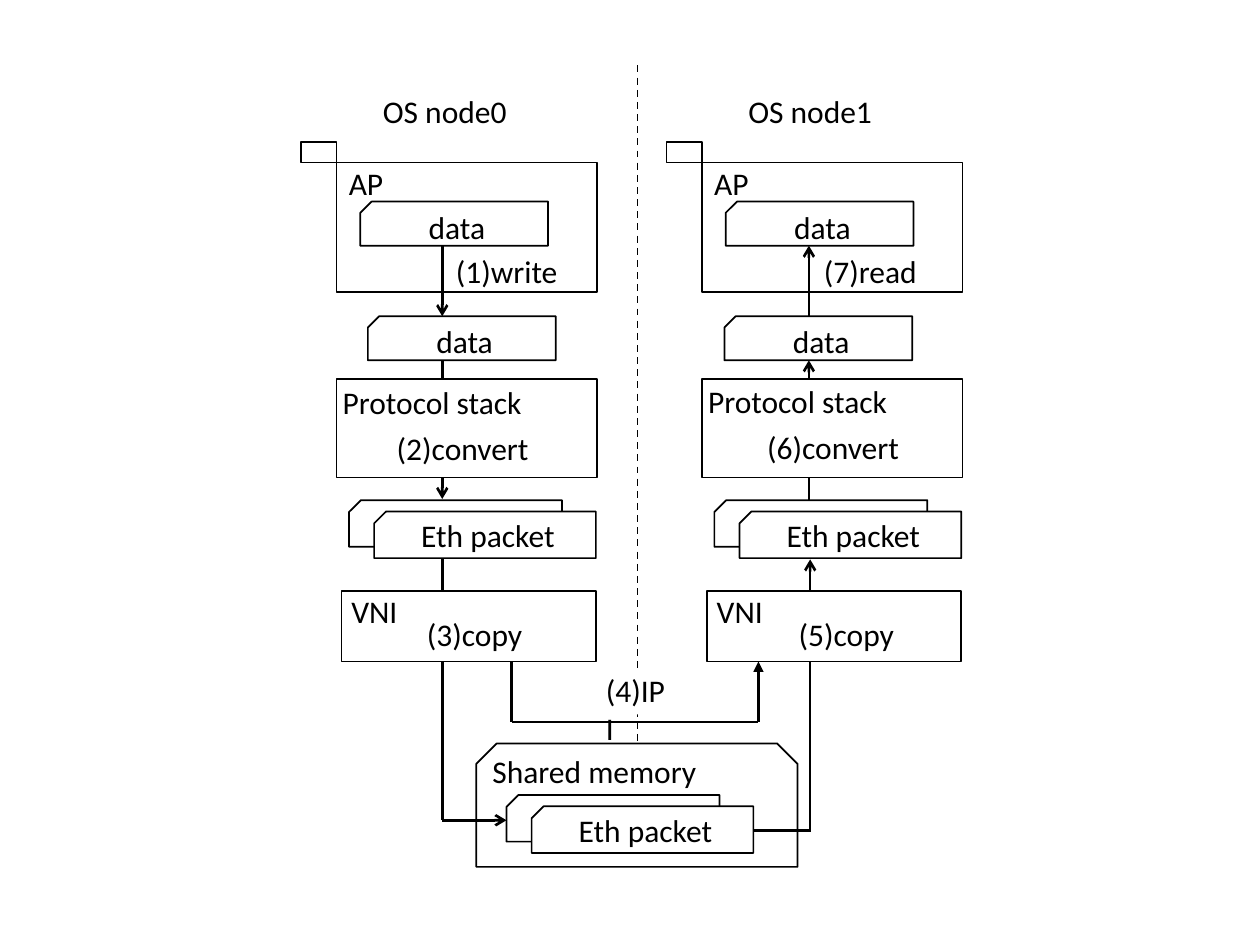
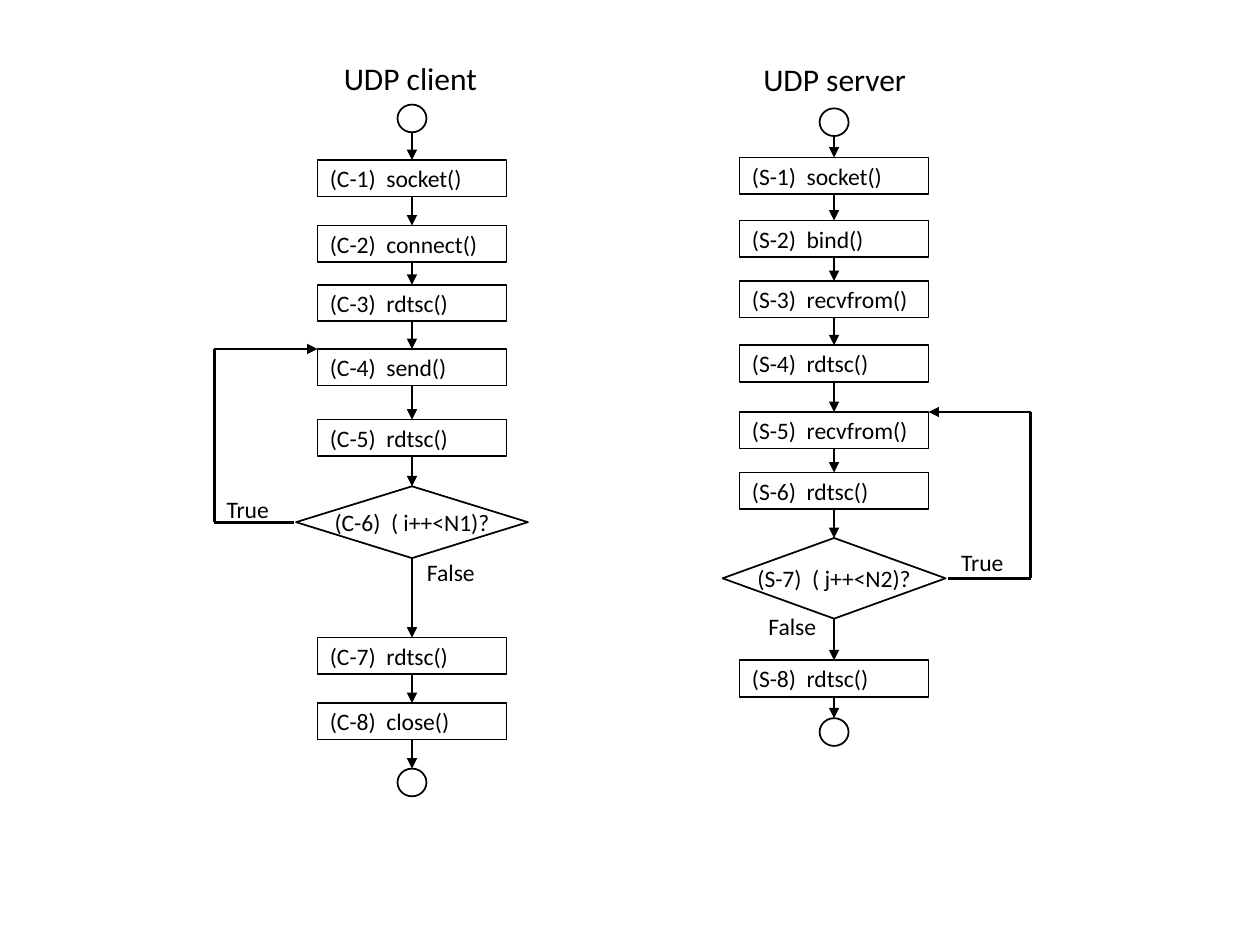
from lxml import etree
from pptx import Presentation
from pptx.dml.color import RGBColor
from pptx.enum.dml import MSO_LINE
from pptx.enum.shapes import MSO_CONNECTOR, MSO_SHAPE
from pptx.enum.text import MSO_ANCHOR, PP_ALIGN
from pptx.oxml.ns import qn
from pptx.util import Inches, Pt

BLACK = RGBColor(0, 0, 0)
WHITE = RGBColor(255, 255, 255)
FONT = "Calibri"
LABEL_SIZE, STEP_SIZE = 18, 13.5
THIN, THICK = 1, 1.5

RECT = MSO_SHAPE.RECTANGLE
CIRCLE = MSO_SHAPE.OVAL
CARD = MSO_SHAPE.SNIP_1_RECTANGLE
MEMORY = MSO_SHAPE.SNIP_2_SAME_RECTANGLE
STRAIGHT = MSO_CONNECTOR.STRAIGHT
DASH = MSO_LINE.DASH
MIDDLE = MSO_ANCHOR.MIDDLE
LEFT, CENTER = PP_ALIGN.LEFT, PP_ALIGN.CENTER

NODE_PITCH = 2.9
STEP_WIDTH, STEP_HEIGHT = 1.5, 0.29
DOT_WIDTH, DOT_HEIGHT = 0.23, 0.22


def write(frame, words, size, align=LEFT):
    """Put one run of black text into a frame."""
    frame.word_wrap = True
    paragraph = frame.paragraphs[0]
    paragraph.alignment = align
    run = paragraph.add_run()
    run.text = words
    run.font.name = FONT
    run.font.size = Pt(size)
    run.font.color.rgb = BLACK
    return paragraph


def label(slide, words, left, top, width, height, size=LABEL_SIZE, inset=0.1):
    """Add a free-standing text."""
    frame = slide.shapes.add_textbox(
        Inches(left), Inches(top), Inches(width), Inches(height)).text_frame
    frame.margin_left = Inches(inset)
    write(frame, words, size)


def outline(shape, filled=True, lined=True):
    """Give a shape the white fill and thin black line."""
    shape.shadow.inherit = False
    if filled:
        shape.fill.solid()
        shape.fill.fore_color.rgb = WHITE
    else:
        shape.fill.background()
    if lined:
        shape.line.color.rgb = BLACK
        shape.line.width = Pt(THIN)
    else:
        shape.line.fill.background()


def box(slide, kind, left, top, width, height, filled=True, lined=True):
    """Add a preset shape."""
    shape = slide.shapes.add_shape(
        kind, Inches(left), Inches(top), Inches(width), Inches(height))
    outline(shape, filled, lined)
    return shape


def card(slide, left, top, width, height, words=""):
    """Add a card with its top left corner cut."""
    shape = box(slide, CARD, left, top, width, height)
    shape.adjustments[0] = 0.255
    shape._element.spPr.xfrm.set("flipH", "1")
    if words:
        shape.text_frame.vertical_anchor = MIDDLE
        return write(shape.text_frame, words, LABEL_SIZE, CENTER)


def packets(slide, left, top):
    """Add two overlapping packet cards."""
    card(slide, left, top, 1.69, 0.37)
    paragraph = card(slide, left + 0.2, top + 0.09, 1.76, 0.37, "Eth packet")
    paragraph.line_spacing = Pt(18)


def line(slide, start, end, head=None, width=THICK, dash=None):
    """Draw a straight line with an optional arrowhead at its end."""
    x1, y1, x2, y2 = (Inches(value) for value in (*start, *end))
    connector = slide.shapes.add_connector(STRAIGHT, x1, y1, x2, y2)
    connector.line.color.rgb = BLACK
    connector.line.width = Pt(width)
    if dash:
        connector.line.dash_style = dash
    if head:
        etree.SubElement(connector.line._get_or_add_ln(), qn("a:tailEnd"), type=head)
    etree.SubElement(connector._element.spPr, qn("a:effectLst"))


def node(slide, number, data_left, calls):
    """Draw one OS node; calls holds each operation label with its place."""
    shift = number * NODE_PITCH
    label(slide, f"OS node{number}", 2.94 + shift, 0.68, 1.61, 0.46)
    box(slide, RECT, 2.39 + shift, 1.13, 0.28, 0.16)
    box(slide, RECT, 2.67 + shift, 1.29, 2.07, 1.03)
    label(slide, "AP", 2.67 + shift, 1.25, 0.64, 0.43)
    card(slide, 2.86 + shift, 1.6, 1.49, 0.35, "data")
    card(slide, data_left, 2.51, 1.49, 0.35, "data")
    box(slide, RECT, 2.67 + shift, 3.01, 2.07, 0.78)
    label(slide, "Protocol stack", 2.72 + shift, 2.99 - 0.01 * number, 2.06, 0.43, inset=0)
    packets(slide, 2.77 + shift, 3.97)
    box(slide, RECT, 2.71 + shift, 4.69, 2.02, 0.56)
    label(slide, "VNI", 2.69 + shift, 4.65, 0.77, 0.43)
    for words, left, top, width in calls:
        label(slide, words, left, top, width, 0.46)


def memory_slide(slide):
    """Draw the data path between two nodes through shared memory."""
    line(slide, (6.42, 3.97), (6.42, 2.86), "arrow")
    line(slide, (6.43, 6.59), (6.43, 4.44), "arrow")
    line(slide, (3.51, 2.84), (3.51, 3.96), "arrow")
    line(slide, (3.51, 4.44), (3.51, 6.51))
    line(slide, (5.06, 0.52), (5.06, 6.11), width=THIN, dash=DASH)

    box(slide, MEMORY, 3.78, 5.9, 2.55, 0.98)
    label(slide, "Shared memory", 3.81, 5.92, 2.56, 0.38)
    line(slide, (3.51, 6.51), (4.02, 6.51), "arrow")
    line(slide, (5.96, 6.59), (6.44, 6.59))
    packets(slide, 4.02, 6.31)

    node(slide, 0, 2.92, [("(1)write", 3.52, 1.95, 1.43),
                          ("(2)convert", 3.05, 3.36, 1.75),
                          ("(3)copy", 3.29, 4.83, 1.3)])
    node(slide, 1, 5.75, [("(7)read", 6.44, 1.95, 1.28),
                          ("(6)convert", 5.99, 3.35, 1.7),
                          ("(5)copy", 6.24, 4.83, 1.3)])
    line(slide, (3.51, 1.95), (3.51, 2.51), "arrow")
    line(slide, (6.42, 2.51), (6.42, 1.95), "arrow")

    box(slide, RECT, 4.92, 5.34, 0.3, 0.33, lined=False)
    label(slide, "(4)IPI", 4.71, 5.28, 0.71, 0.37)
    line(slide, (4.06, 5.25), (4.06, 5.73))
    line(slide, (4.06, 5.73), (6.02, 5.73))
    line(slide, (6.02, 5.73), (6.02, 5.25), "triangle")


def decision(slide, axis, top, width, height, words):
    """Add a diamond with a condition."""
    middle, half = top + height / 2, width / 2
    corners = [(Inches(x), Inches(y)) for x, y in (
        (axis - half, middle), (axis, top + height), (axis + half, middle), (axis, top))]
    builder = slide.shapes.build_freeform(*corners[0])
    builder.add_line_segments(corners[1:], close=True)
    shape = builder.convert_to_shape()
    outline(shape)
    shape.text_frame.vertical_anchor = MIDDLE
    write(shape.text_frame, words, STEP_SIZE, CENTER)


def flow(slide, axis, prefix, dots, steps, condition, loop):
    """Draw a flowchart column with one loop back to an earlier step."""
    spans = [(top, DOT_HEIGHT) for top in dots]
    for top in dots:
        box(slide, CIRCLE, axis - DOT_WIDTH / 2, top, DOT_WIDTH, DOT_HEIGHT, filled=False)
    for number, top, call in steps:
        step = box(slide, RECT, axis - STEP_WIDTH / 2, top, STEP_WIDTH, STEP_HEIGHT)
        step.text_frame.vertical_anchor = MIDDLE
        write(step.text_frame, f"({prefix}-{number})  {call}", STEP_SIZE)
        spans.append((top, STEP_HEIGHT))

    top, width, height, words = condition
    decision(slide, axis, top, width, height, words)
    spans.append((top, height))
    spans.sort()
    for (upper, depth), (lower, _) in zip(spans, spans[1:]):
        line(slide, (axis, upper + depth), (axis, lower), "triangle")

    side, rail, target = loop
    branch = top + height / 2
    line(slide, (axis + side * (width / 2 + 0.02), branch), (rail, branch))
    line(slide, (rail, branch), (rail, target))
    line(slide, (rail, target), (axis + side * STEP_WIDTH / 2, target), "triangle")


def udp_slide(slide):
    """Draw the client and server flowcharts."""
    label(slide, "UDP client", 2.63, 0.42, 1.28, 0.4)
    flow(slide, 3.27, "C", (0.83, 6.1),
         [(1, 1.27, "socket()"), (2, 1.79, "connect()"), (3, 2.26, "rdtsc()"),
          (4, 2.77, "send()"), (5, 3.33, "rdtsc()"),
          (7, 5.06, "rdtsc()"), (8, 5.58, "close()")],
         (3.86, 1.84, 0.57, "(C-6)  ( i++<N1)?"), (-1, 1.7, 2.77))
    label(slide, "UDP server", 5.96, 0.43, 1.34, 0.4)
    flow(slide, 6.62, "S", (0.86, 5.7),
         [(1, 1.25, "socket()"), (2, 1.75, "bind()"), (3, 2.23, "recvfrom()"),
          (4, 2.74, "rdtsc()"), (5, 3.27, "recvfrom()"), (6, 3.75, "rdtsc()"),
          (8, 5.24, "rdtsc()")],
         (4.27, 1.77, 0.64, "(S-7)  ( j++<N2)?"), (1, 8.18, 3.27))
    for words, left, top, width in (("True", 1.7, 3.88, 0.55), ("False", 3.29, 4.38, 0.65),
                                    ("True", 7.53, 4.3, 0.55), ("False", 6, 4.81, 0.65)):
        label(slide, words, left, top, width, 0.33, STEP_SIZE)


def main():
    """Build both slides and save them."""
    deck = Presentation()
    deck.slide_width, deck.slide_height = Inches(10), Inches(7.5)
    blank = deck.slide_layouts[6]
    for draw in (memory_slide, udp_slide):
        draw(deck.slides.add_slide(blank))
    deck.save("out.pptx")


main()
